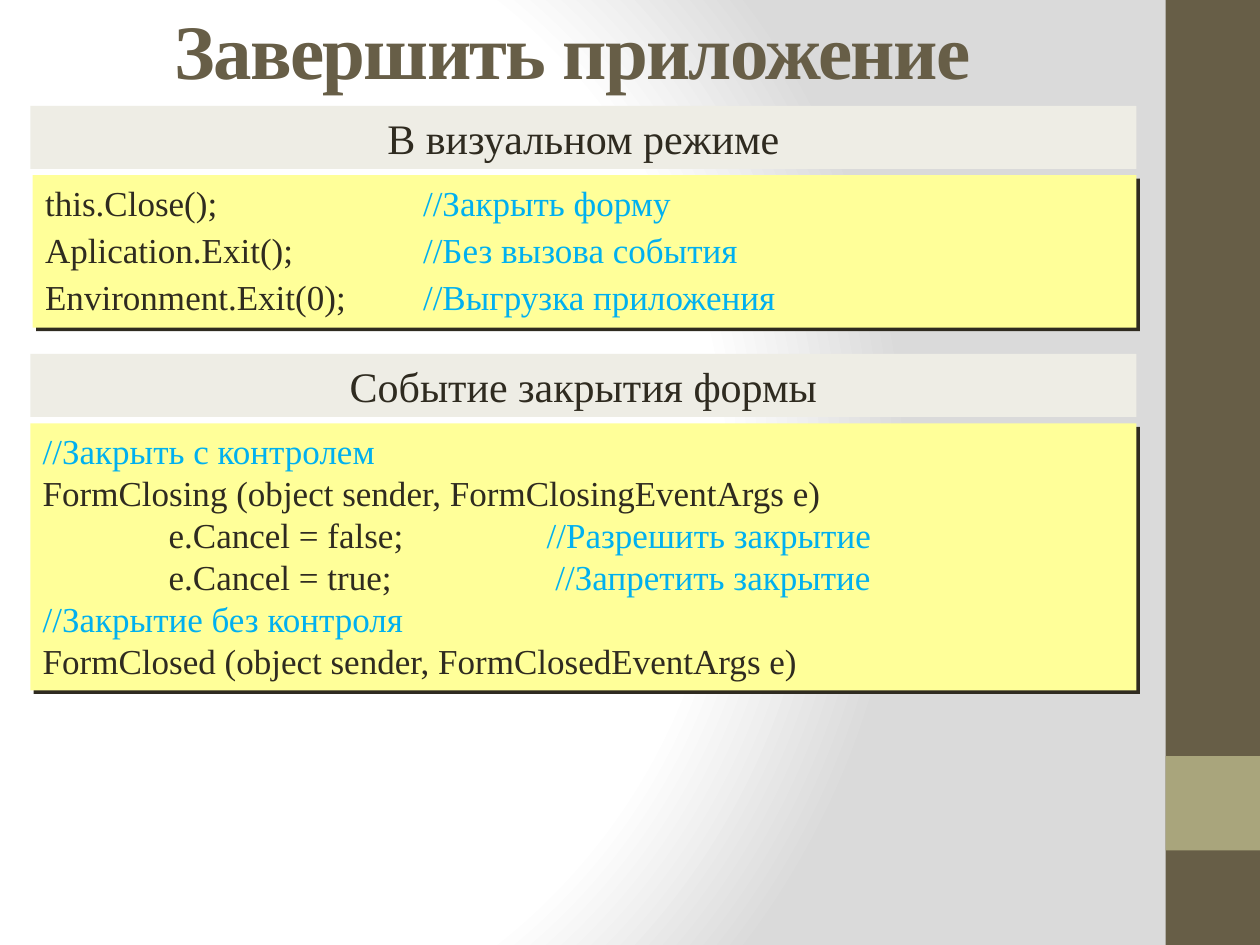
import pptx
import pptx.util
import pptx.dml.color
import pptx.enum.shapes
import pptx.enum.text
import pptx.oxml
import pptx.oxml.ns
import lxml.etree

Inches = pptx.util.Inches
Pt = pptx.util.Pt
RGBColor = pptx.dml.color.RGBColor
PP_ALIGN = pptx.enum.text.PP_ALIGN
MSO_ANCHOR = pptx.enum.text.MSO_ANCHOR
qn = pptx.oxml.ns.qn

BROWN = RGBColor(0x67, 0x5E, 0x47)
OLIVE = RGBColor(0xA9, 0xA5, 0x7C)
INK = RGBColor(0x2F, 0x2B, 0x20)
CREAM = RGBColor(0xEE, 0xED, 0xE5)
YELLOW = RGBColor(0xFF, 0xFF, 0x99)
COMMENT_BLUE = RGBColor(0x00, 0xB0, 0xF0)
FONT = "Times New Roman"

EXIT_CALLS = [
    ("this.Close();\t\t", "//Закрыть форму"),
    ("Aplication.Exit();\t\t", "//Без вызова события"),
    ("Environment.Exit(0);\t", "//Выгрузка приложения"),
]
CLOSING_EVENTS = [
    ("", "//Закрыть с контролем"),
    ("FormClosing (object sender, FormClosingEventArgs e)", ""),
    ("\te.Cancel = false;\t\t", "//Разрешить закрытие"),
    ("\te.Cancel = true;\t\t ", "//Запретить закрытие"),
    ("", "//Закрытие без контроля"),
    ("FormClosed (object sender, FormClosedEventArgs e)", ""),
]


def set_background(slide):
    slide.background.fill.solid()
    properties = slide.background._cSld.find(qn("p:bg")).find(qn("p:bgPr"))
    stops = "".join(
        f'<a:gs pos="{percent * 1000}"><a:srgbClr val="{color}"/></a:gs>'
        for percent, color in ((0, "FFFFFF"), (75, "FFFFFF"), (100, "DADADA"))
    )
    gradient = pptx.oxml.parse_xml(
        f'<a:gradFill {pptx.oxml.ns.nsdecls("a")} rotWithShape="1"><a:gsLst>{stops}</a:gsLst>'
        '<a:path path="circle"><a:fillToRect l="20000" t="50000" r="100000" b="50000"/>'
        "</a:path></a:gradFill>"
    )
    properties.replace(properties.find(qn("a:solidFill")), gradient)


def style_run(run, size, color, bold=False):
    run.font.name = FONT
    run.font.size = Pt(size)
    run.font.bold = bold
    run.font.color.rgb = color


def add_block(slide, left, top, width, height, color):
    block = slide.shapes.add_shape(
        pptx.enum.shapes.MSO_SHAPE.RECTANGLE,
        Inches(left), Inches(top), Inches(width), Inches(height),
    )
    block.shadow.inherit = False
    block.fill.solid()
    block.fill.fore_color.rgb = color
    block.line.fill.background()
    block.text_frame.word_wrap = True
    block.text_frame.vertical_anchor = MSO_ANCHOR.TOP
    return block


def add_hard_shadow(block):
    effects = block._element.spPr.find(qn("a:effectLst"))
    shadow = lxml.etree.SubElement(
        effects, qn("a:outerShdw"), blurRad="0", dist=str(Pt(2.8)),
        dir="2700000", algn="ctr", rotWithShape="0",
    )
    lxml.etree.SubElement(shadow, qn("a:srgbClr"), val=str(INK))


def add_tab_stops(paragraph):
    stops = lxml.etree.SubElement(paragraph._p.get_or_add_pPr(), qn("a:tabLst"))
    for inch in range(1, 6):
        lxml.etree.SubElement(stops, qn("a:tab"), pos=str(Inches(inch)), algn="l")


def add_title(slide, text):
    title = slide.shapes.title
    title.left, title.top = Inches(0), Inches(0)
    title.width, title.height = Inches(9.09), Inches(0.78)
    title.text_frame.text = text
    title.text_frame.vertical_anchor = MSO_ANCHOR.MIDDLE
    heading = title.text_frame.paragraphs[0]
    heading.alignment = PP_ALIGN.CENTER
    style_run(heading.runs[0], 44, BROWN, bold=True)
    heading.runs[0].font._element.set("spc", "-100")


def add_section_header(slide, top, text):
    header = add_block(slide, 0.24, top, 8.78, 0.5, CREAM)
    header.text_frame.text = text
    caption = header.text_frame.paragraphs[0]
    caption.alignment = PP_ALIGN.CENTER
    style_run(caption.runs[0], 24, INK)


def add_code(slide, left, top, width, height, lines, space_before=0):
    code = add_block(slide, left, top, width, height, YELLOW)
    add_hard_shadow(code)
    frame = code.text_frame
    for index, (statement, comment) in enumerate(lines):
        line = frame.add_paragraph() if index else frame.paragraphs[0]
        line.alignment = PP_ALIGN.LEFT
        line.space_before = Pt(space_before)
        add_tab_stops(line)
        for text, color in ((statement, INK), (comment, COMMENT_BLUE)):
            if text:
                run = line.add_run()
                run.text = text
                style_run(run, 20, color)


def main():
    presentation = pptx.Presentation()
    presentation.slide_width = Inches(10)
    presentation.slide_height = Inches(7.5)
    slide = presentation.slides.add_slide(presentation.slide_layouts[5])
    set_background(slide)
    add_block(slide, 9.25, 0, 0.75, 7.5, BROWN)
    add_block(slide, 9.25, 6, 0.75, 0.75, OLIVE)
    add_title(slide, "Завершить приложение")
    add_section_header(slide, 0.84, "В визуальном режиме")
    add_code(slide, 0.26, 1.39, 8.76, 1.21, EXIT_CALLS, space_before=3)
    add_section_header(slide, 2.81, "Событие закрытия формы")
    add_code(slide, 0.24, 3.36, 8.78, 2.12, CLOSING_EVENTS)
    presentation.save("out.pptx")


main()
